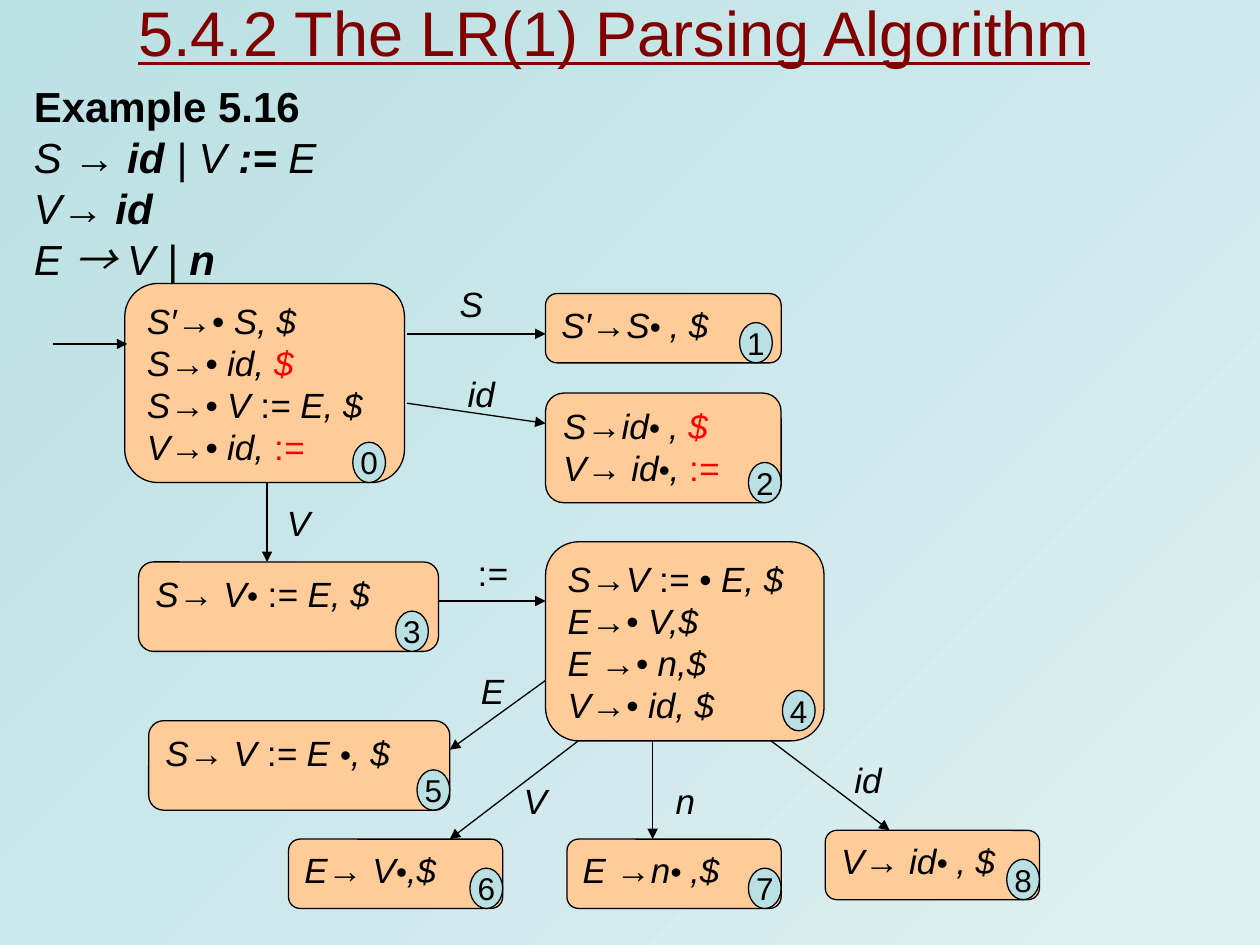
from dataclasses import dataclass

from lxml.etree import SubElement
from pptx import Presentation
from pptx.dml.color import RGBColor
from pptx.enum.shapes import MSO_CONNECTOR, MSO_SHAPE
from pptx.enum.text import MSO_ANCHOR as Anchor, PP_ALIGN as Align
from pptx.oxml.ns import qn
from pptx.util import Inches, Pt

COLORS = {
    "ink": "000000", "title": "800000", "lookahead": "FF0000",
    "state": "FFCC99", "badge": "BBE0E3", "pale": "DFF0F2",
}
FONT = "Arial"
BADGE_W, BADGE_H = 0.26, 0.32
LABEL_W, LABEL_H = 0.34, 0.32


@dataclass(frozen=True)
class Run:
    text: str
    size: int = 20
    italic: bool = True
    bold: bool = False
    underline: bool = False
    color: str = "ink"
    font: str = FONT


@dataclass(frozen=True)
class State:
    """An automaton state; the gaps hold its badge off the lower right corner."""
    left: float
    top: float
    width: float
    height: float
    items: tuple
    gap_x: float = 0
    gap_y: float = 0


@dataclass(frozen=True)
class Edge:
    """A transition; its symbol sits in a label box at label_at."""
    start: tuple
    end: tuple
    symbol: tuple = ()
    label_at: tuple = ()


COLON = Run(":", italic=False)
END_DOT = Run("•", 18)
END_DOT_SPACE = Run("• ", 18)
RED_END = Run("$", color="lookahead")
RED_ASSIGN = (Run(":", italic=False, color="lookahead"), Run("=", color="lookahead"))


def grammar(text: str, bold: bool = False, italic: bool = True, font: str = FONT) -> Run:
    return Run(text, 24, italic, bold, font=font)


GRAMMAR = [
    (grammar("Example 5.16", bold=True, italic=False),),
    (grammar("S → "), grammar("id", True), grammar(" | V "),
     grammar(":=", True), grammar(" E")),
    (grammar("V→ "), grammar("id", True)),
    (grammar("E "), grammar("→", font="Noto Sans CJK SC"),
     grammar(" V |"), grammar(" n", True)),
]

STATES = [
    State(0.99, 2.25, 2.22, 1.58, (
        (Run("S′→• S, $"),),
        (Run("S→• id, "), RED_END),
        (Run("S→• V "), COLON, Run("= E, $")),
        (Run("V→• id, "), *RED_ASSIGN)), gap_x=0.15),
    State(4.33, 2.33, 1.87, 0.55, ((Run("S′→S"), END_DOT_SPACE, Run(", $")),), gap_x=0.07),
    State(4.33, 3.12, 1.87, 0.87, (
        (Run("S→id"), END_DOT_SPACE, Run(", "), RED_END),
        (Run("V→ id"), END_DOT, Run(", "), *RED_ASSIGN))),
    State(1.1, 4.46, 2.38, 0.71, (
        (Run("S→ V"), END_DOT, Run(" "), COLON, Run("= E, $")),), gap_x=0.08),
    State(4.33, 4.3, 2.21, 1.58, (
        (Run("S→V "), COLON, Run("= • E, $")),
        (Run("E→• V,$"),),
        (Run("E →• n,$"),),
        (Run("V→• id, $"),)), gap_x=0.07, gap_y=0.08),
    State(1.18, 5.72, 2.39, 0.71, (
        (Run("S→ V "), COLON, Run("= E "), END_DOT, Run(", $")),)),
    State(2.29, 6.66, 1.7, 0.55, ((Run("E→ V"), END_DOT, Run(",$")),)),
    State(4.5, 6.66, 1.7, 0.55, ((Run("E →n"), END_DOT_SPACE, Run(",$")),)),
    State(6.55, 6.59, 1.7, 0.55, ((Run("V→ id"), END_DOT_SPACE, Run(", $")),)),
]

EDGES = [
    Edge((0.42, 2.73), (1.01, 2.73)),
    Edge((3.23, 2.65), (4.33, 2.65), (Run("S"),), (3.57, 2.25)),
    Edge((3.23, 3.2), (4.33, 3.36), (Run("id"),), (3.65, 2.96)),
    Edge((2.12, 3.83), (2.12, 4.46), (Run("V"),), (2.2, 3.99)),
    Edge((3.48, 4.77), (4.33, 4.77), (COLON, Run("=")), (3.74, 4.38)),
    Edge((4.33, 5.4), (3.57, 5.95), (Run("E"),), (3.74, 5.32)),
    Edge((4.59, 5.88), (3.57, 6.66), (Run("V"),), (4.08, 6.19)),
    Edge((5.18, 5.88), (5.18, 6.66), (Run("n"),), (5.27, 6.19)),
    Edge((6.12, 5.88), (7.06, 6.59), (Run("id"),), (6.72, 6.03)),
]


def rgb(name: str) -> RGBColor:
    return RGBColor.from_string(COLORS[name])


def write(shape, lines, align=Align.LEFT, anchor=Anchor.TOP, wrap=False) -> list:
    """Fill a shape with lines of runs and return the paragraphs."""
    frame = shape.text_frame
    frame.word_wrap = wrap
    frame.vertical_anchor = anchor
    for index, line in enumerate(lines):
        paragraph = frame.add_paragraph() if index else frame.paragraphs[0]
        paragraph.alignment = align
        for part in line:
            run = paragraph.add_run()
            run.text = part.text
            font = run.font
            font.name, font.size = part.font, Pt(part.size)
            font.bold, font.italic, font.underline = part.bold, part.italic, part.underline
            font.color.rgb = rgb(part.color)
    return list(frame.paragraphs)


def add_text(slide, left: float, top: float, width: float, height: float):
    return slide.shapes.add_textbox(Inches(left), Inches(top), Inches(width), Inches(height))


def add_outlined(slide, kind, fill: str, left: float, top: float, width: float, height: float):
    shape = slide.shapes.add_shape(
        kind, Inches(left), Inches(top), Inches(width), Inches(height))
    shape.shadow.inherit = False
    shape.fill.solid()
    shape.fill.fore_color.rgb = rgb(fill)
    shape.line.color.rgb = rgb("ink")
    shape.line.width = Pt(0.75)
    return shape


def draw_state(slide, number: int, state: State) -> None:
    box = add_outlined(slide, MSO_SHAPE.ROUNDED_RECTANGLE, "state",
                       state.left, state.top, state.width, state.height)
    write(box, state.items)
    badge = add_outlined(slide, MSO_SHAPE.OVAL, "badge",
                         state.left + state.width - state.gap_x - BADGE_W,
                         state.top + state.height - state.gap_y - BADGE_H,
                         BADGE_W, BADGE_H)
    write(badge, [(Run(str(number), 18, italic=False),)], Align.CENTER, Anchor.MIDDLE)


def draw_edge(slide, edge: Edge) -> None:
    arrow = slide.shapes.add_connector(
        MSO_CONNECTOR.STRAIGHT, *(Inches(value) for value in edge.start + edge.end))
    arrow.line.color.rgb = rgb("ink")
    arrow.line.width = Pt(0.75)
    SubElement(arrow.line._get_or_add_ln(), qn("a:tailEnd"), type="triangle")
    SubElement(arrow._element.spPr, qn("a:effectLst"))
    if edge.symbol:
        label = add_text(slide, *edge.label_at, LABEL_W, LABEL_H)
        label.text_frame.margin_left = label.text_frame.margin_right = Inches(0)
        write(label, [edge.symbol], Align.CENTER, Anchor.MIDDLE, wrap=True)


def draw_background(slide) -> None:
    fill = slide.background.fill
    fill.gradient()
    fill.gradient_angle = 315
    for stop, color in zip(fill.gradient_stops, ("badge", "pale")):
        stop.color.rgb = rgb(color)


def draw_grammar(slide) -> None:
    paragraphs = write(add_text(slide, 0.17, 0.67, 8.5, 1.83), GRAMMAR, wrap=True)
    for index, paragraph in enumerate(paragraphs):
        paragraph.line_spacing = 0.8
        if index:
            paragraph.space_before = Pt(6)
        properties = paragraph._p.get_or_add_pPr()
        properties.set("marL", str(Inches(0.38)))
        properties.set("indent", str(Inches(-0.38)))
    paragraphs[2].alignment = Align.JUSTIFY


def main() -> None:
    deck = Presentation()
    deck.slide_width, deck.slide_height = Inches(10), Inches(7.5)
    slide = deck.slides.add_slide(deck.slide_layouts[6])
    draw_background(slide)
    heading = Run("5.4.2 The LR(1) Parsing Algorithm", 36, italic=False,
                  underline=True, color="title")
    write(add_text(slide, 1, 0, 8.5, 0.5), [(heading,)], anchor=Anchor.MIDDLE, wrap=True)
    draw_grammar(slide)
    for number, state in enumerate(STATES):
        draw_state(slide, number, state)
    for edge in EDGES:
        draw_edge(slide, edge)
    deck.save("out.pptx")


if __name__ == "__main__":
    main()
